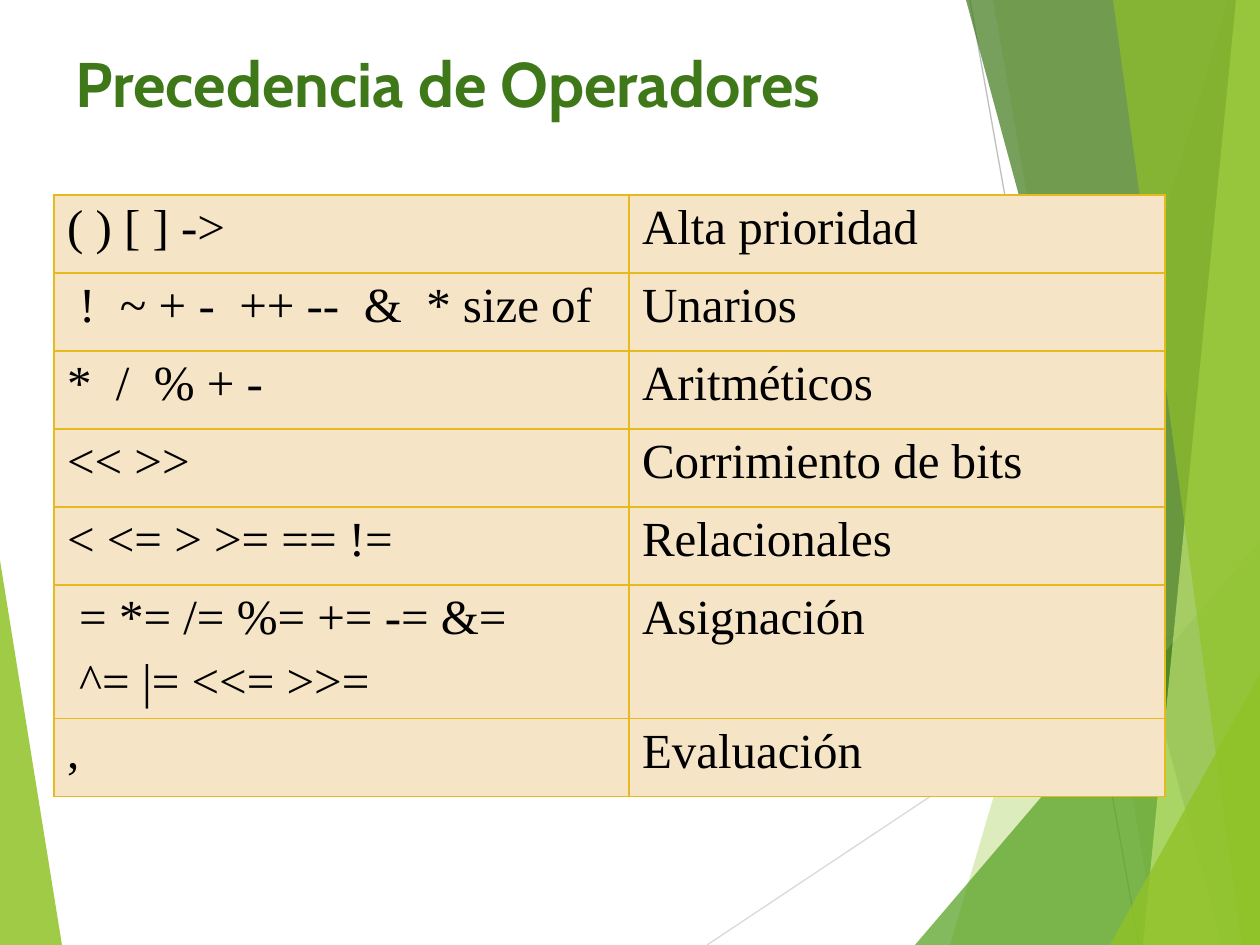
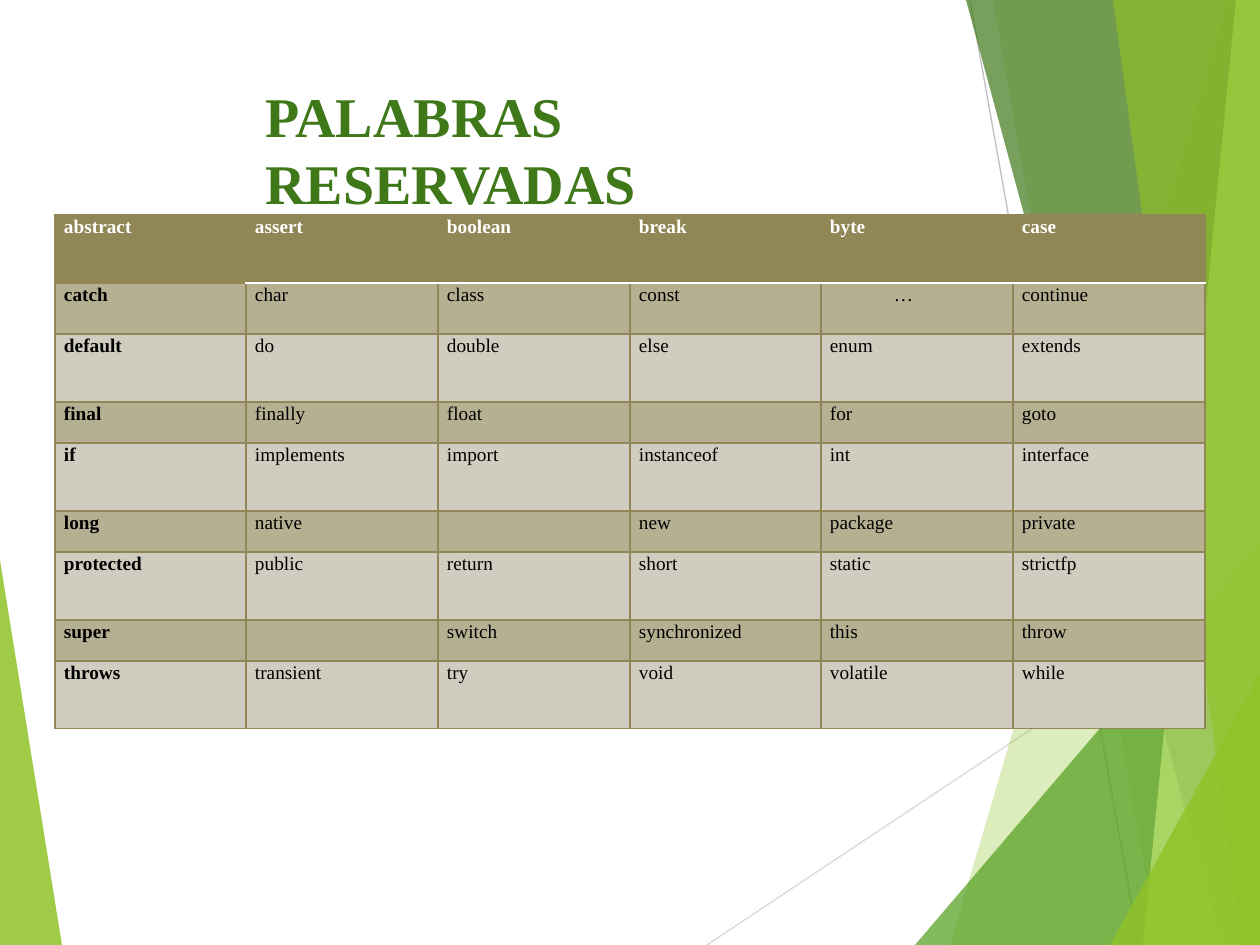
from dataclasses import dataclass
from typing import Optional

from lxml import etree
from pptx import Presentation
from pptx.dml.color import RGBColor
from pptx.enum import shapes, text
from pptx.oxml.ns import qn
from pptx.util import Emu, Pt

EMU_PER_PX = 914400 / 126
WIDTH, HEIGHT = 1260, 945


def px(n: float) -> Emu:
    return Emu(round(n * EMU_PER_PX))


# Theme: colours and type sizes
@dataclass(frozen=True)
class Theme:
    green: str = "90C226"
    mid_green: str = "54A021"
    dark_green: str = "3F7819"
    pale_green: str = "C0E474"
    line_light: str = "D9D9D9"
    line_grey: str = "BFBFBF"
    gold: str = "E6B91E"
    cream: str = "F5E4C5"
    olive: str = "918655"
    olive_band: str = "B6B092"
    olive_pale: str = "D0CCC0"
    black: str = "000000"
    white: str = "FFFFFF"
    serif: str = "Times New Roman"
    sans: str = "Cabin"
    title_sans: int = 36
    title_serif: int = 32
    operators: int = 28
    keywords: int = 11


T = Theme()


# Parts that repeat
@dataclass(frozen=True)
class Facet:
    points: tuple[tuple[int, int], ...]
    color: str
    alpha: int


@dataclass(frozen=True)
class Ray:
    start: tuple[int, int]
    end: tuple[int, int]
    color: str


@dataclass(frozen=True)
class Font:
    face: str
    size: int
    color: str
    bold: bool = False


@dataclass(frozen=True)
class Title:
    words: str
    box: tuple[int, int, int, int]
    font: Font


@dataclass(frozen=True)
class CellStyle:
    font: Font
    fill: str
    border: str
    top: Optional[str] = None
    bottom: Optional[str] = None
    margins: tuple[int, int] = (13, 6)
    spacing: float = 1.0
    before: int = 0


def panel(top: int, bottom: int, color: str, alpha: int) -> Facet:
    """Facet over the full height, from a slanted side to the right edge."""
    return Facet(((top, 0), (bottom, HEIGHT), (WIDTH, HEIGHT), (WIDTH, 0)), color, alpha)


def corner(left: int, top: int, color: str, alpha: int) -> Facet:
    """Triangle in the lower right corner."""
    return Facet(((left, HEIGHT), (WIDTH, top), (WIDTH, HEIGHT)), color, alpha)


BACKDROP = (
    Facet(((0, 560), (62, HEIGHT), (0, HEIGHT)), T.green, 85),
    Ray((707, HEIGHT), (WIDTH, 577), T.line_light),
    Ray((970, 0), (1139, HEIGHT), T.line_grey),
    panel(1228, 950, T.green, 30),
    panel(993, 1158, T.green, 20),
    corner(915, 541, T.mid_green, 72),
    panel(966, 1222, T.dark_green, 70),
    panel(1236, 1143, T.pale_green, 70),
    panel(1113, 1242, T.green, 65),
    corner(1110, 674, T.green, 80),
)


# Drawing
def draw_facet(s, facet: Facet) -> None:
    first, *rest = [(px(x), px(y)) for x, y in facet.points]
    builder = s.shapes.build_freeform(*first)
    builder.add_line_segments(rest, close=True)
    sp = builder.convert_to_shape()
    sp.shadow.inherit = False
    sp.line.fill.background()
    sp.fill.solid()
    sp.fill.fore_color.rgb = RGBColor.from_string(facet.color)
    color = sp._element.spPr.find(f"{qn('a:solidFill')}/{qn('a:srgbClr')}")
    etree.SubElement(color, qn("a:alpha"), val=str(facet.alpha * 1000))


def draw_ray(s, ray: Ray) -> None:
    ends = [px(n) for n in ray.start + ray.end]
    line = s.shapes.add_connector(shapes.MSO_CONNECTOR.STRAIGHT, *ends)
    line.line.color.rgb = RGBColor.from_string(ray.color)
    line.line.width = Pt(0.75)
    etree.SubElement(line._element.spPr, qn("a:effectLst"))


def add_run(p, words: str, font: Font) -> None:
    r = p.add_run()
    r.text = words
    r.font.name, r.font.size, r.font.bold = font.face, Pt(font.size), font.bold
    r.font.color.rgb = RGBColor.from_string(font.color)


def draw_title(s, title: Title) -> None:
    tf = s.shapes.add_textbox(*map(px, title.box)).text_frame
    tf.word_wrap = True
    tf.vertical_anchor = text.MSO_ANCHOR.TOP
    add_run(tf.paragraphs[0], title.words, title.font)


def new_slide(prs, title: Title):
    s = prs.slides.add_slide(prs.slide_layouts[6])
    for part in BACKDROP:
        if isinstance(part, Facet):
            draw_facet(s, part)
        else:
            draw_ray(s, part)
    draw_title(s, title)
    return s


def set_border(cell, side: str, color: str, width: float) -> None:
    ln = etree.SubElement(cell._tc.get_or_add_tcPr(), qn(f"a:ln{side}"), w=str(Pt(width)))
    fill = etree.SubElement(ln, qn("a:solidFill"))
    etree.SubElement(fill, qn("a:srgbClr"), val=color)


def fill_cell(cell, words: str, style: CellStyle) -> None:
    for side, color in (("L", None), ("R", None), ("T", style.top), ("B", style.bottom)):
        set_border(cell, side, color or style.border, 1.5 if color else 1)
    cell.fill.solid()
    cell.fill.fore_color.rgb = RGBColor.from_string(style.fill)
    across, above = map(px, style.margins)
    cell.margin_left = cell.margin_right = across
    cell.margin_top, cell.margin_bottom = above, 0
    tf = cell.text_frame
    for i, line in enumerate(words.split("\n") if words else []):
        p = tf.add_paragraph() if i else tf.paragraphs[0]
        p.line_spacing = style.spacing
        if style.before:
            before = etree.SubElement(p._p.get_or_add_pPr(), qn("a:spcBef"))
            etree.SubElement(before, qn("a:spcPct"), val=str(style.before * 1000))
        add_run(p, line, style.font)


def draw_table(s, left: int, top: int, widths: list[int], heights: list[int], rows, style_at):
    frame = s.shapes.add_table(len(heights), len(widths), px(left), px(top),
                               px(sum(widths)), px(sum(heights)))
    table = frame.table
    table.first_row = table.horz_banding = False
    for column, width in zip(table.columns, widths):
        column.width = px(width)
    for row, height in zip(table.rows, heights):
        row.height = px(height)
    for i, row in enumerate(rows):
        for j, words in enumerate(row):
            fill_cell(table.cell(i, j), words, style_at(i, j))
    return table


# Slide 1: operator precedence
OPERATORS = (
    ("( ) [ ] ->", "Alta prioridad"),
    (" !  ~ + -  ++ --  &  * size of", "Unarios"),
    ("*  /  % + -", "Aritméticos"),
    ("<< >>", "Corrimiento de bits"),
    ("< <= > >= == !=", "Relacionales"),
    (" = *= /= %= += -= &=\n ^= |= <<= >>=", "Asignación"),
    (",", "Evaluación"),
)


def operators_slide(prs) -> None:
    s = new_slide(prs, Title("Precedencia de Operadores", (63, 38, 1134, 157),
                             Font(T.sans, T.title_sans, T.dark_green, True)))
    style = CellStyle(Font(T.serif, T.operators, T.black), T.cream, T.gold, before=20)
    heights = [131 if "\n" in symbols else 78 for symbols, _ in OPERATORS]
    draw_table(s, 54, 195, [575, 536], heights, OPERATORS, lambda i, j: style)


# Slide 2: reserved words
KEYWORDS = (
    ("abstract", "assert", "boolean", "break", "byte", "case"),
    ("catch", "char", "class", "const", "…", "continue"),
    ("default", "do", "double", "else", "enum", "extends"),
    ("final", "finally", "float", "", "for", "goto"),
    ("if", "implements", "import", "instanceof", "int", "interface"),
    ("long", "native", "", "new", "package", "private"),
    ("protected", "public", "return", "short", "static", "strictfp"),
    ("super", "", "switch", "synchronized", "this", "throw"),
    ("throws", "transient", "try", "void", "volatile", "while"),
)


def keyword_style(i: int, j: int) -> CellStyle:
    header = i == 0
    band = T.olive_band if i % 2 else T.olive_pale
    font = Font(T.serif, T.keywords, T.white if header else T.black, header or j == 0)
    return CellStyle(font, T.olive if header else band, T.olive,
                     top=T.white if i == 1 and j else None,
                     bottom=T.white if header and j else None,
                     margins=(9, 0), spacing=1.07)


def keywords_slide(prs) -> None:
    s = new_slide(prs, Title("PALABRAS RESERVADAS", (253, 75, 690, 147),
                             Font(T.serif, T.title_serif, T.dark_green, True)))
    total, count = 1150, len(KEYWORDS[0])
    edges = [total * i // count for i in range(count + 1)]
    widths = [b - a for a, b in zip(edges, edges[1:])]
    heights = [68, 51] + [68, 41] * 3 + [68]
    table = draw_table(s, 55, 215, widths, heights, KEYWORDS, keyword_style)
    table.cell(1, 4).margin_left = px(73)


def main() -> None:
    prs = Presentation()
    prs.slide_width, prs.slide_height = px(WIDTH), px(HEIGHT)
    operators_slide(prs)
    keywords_slide(prs)
    prs.save("out.pptx")


if __name__ == "__main__":
    main()
